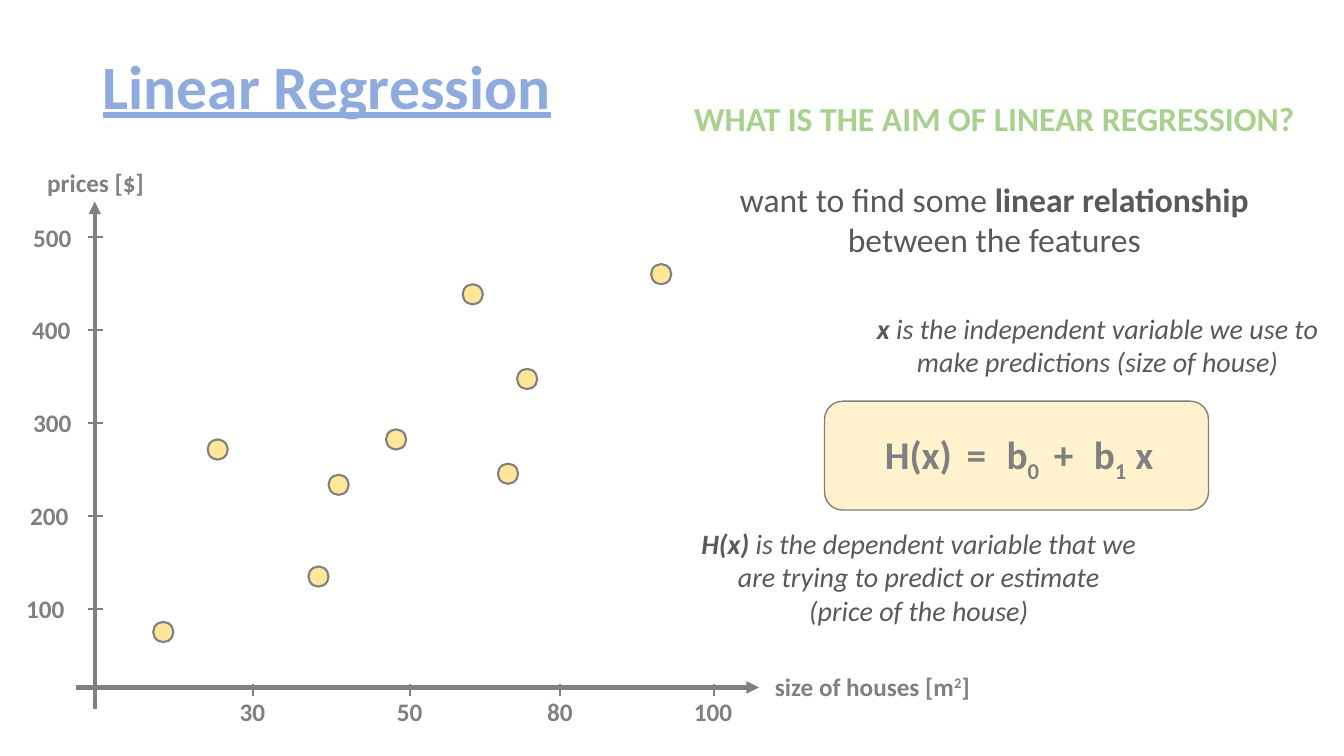
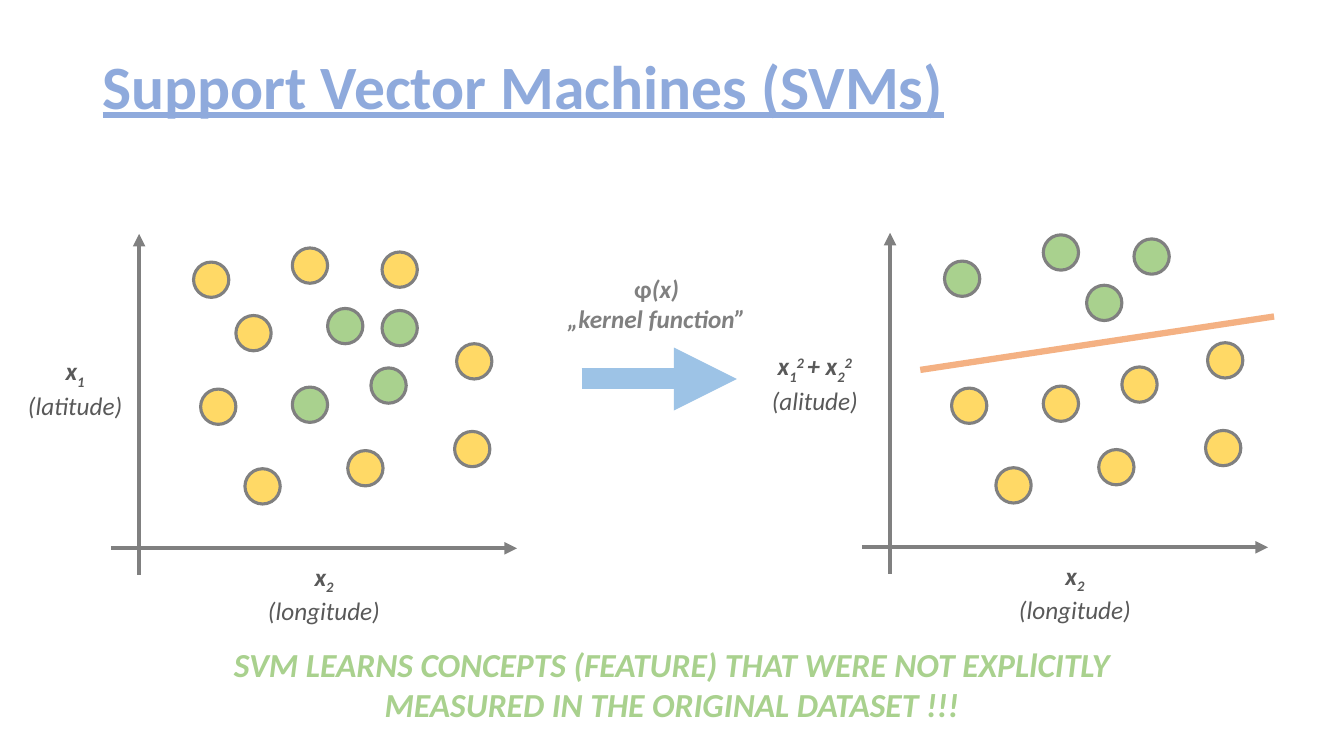
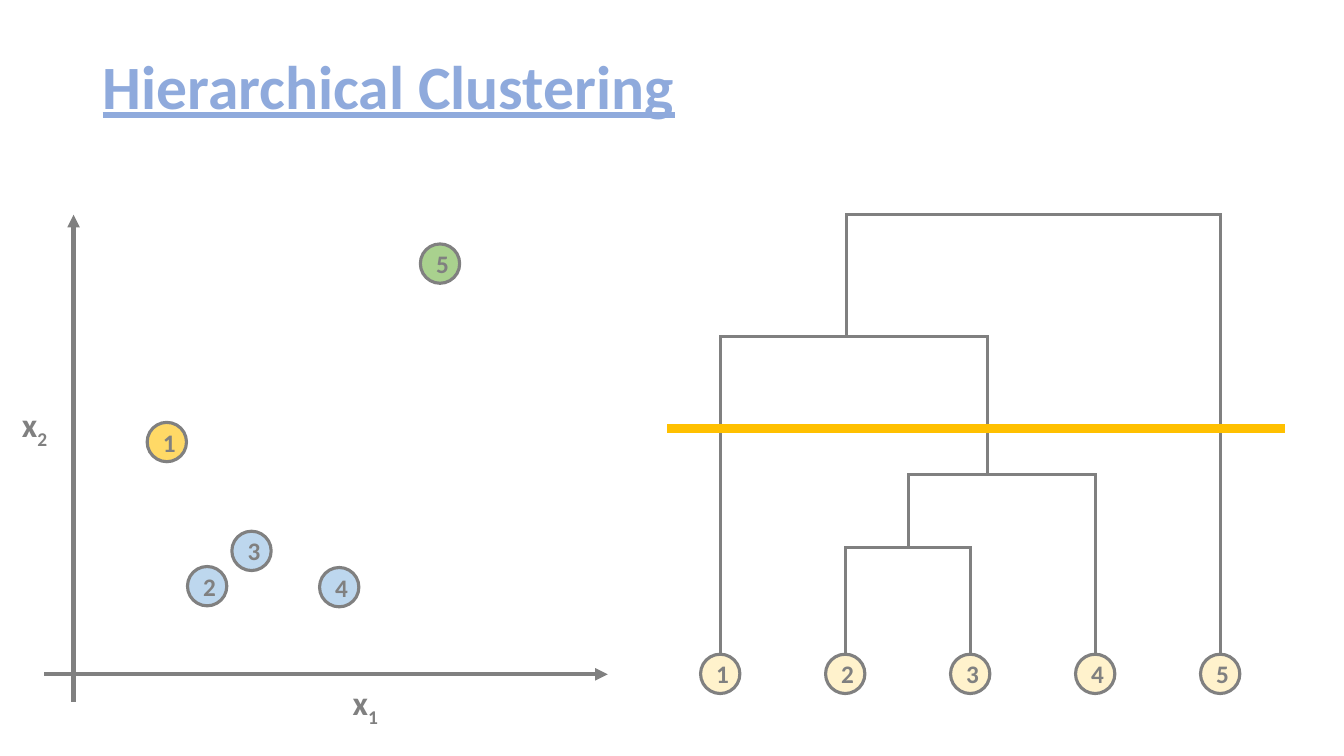
"""Three machine learning slides: regression, support vector machines, clustering."""
from lxml.etree import SubElement
from pptx import Presentation
from pptx.dml.color import RGBColor
from pptx.enum.shapes import MSO_CONNECTOR, MSO_SHAPE
from pptx.enum.text import MSO_ANCHOR, MSO_AUTO_SIZE, PP_ALIGN
from pptx.oxml.ns import qn
from pptx.util import Inches, Pt

CELL = Inches(0.1)
ROWS = 75
COLS = ROWS * 16 / 9

GRAY = RGBColor(0x80, 0x80, 0x80)
INK = RGBColor(0x59, 0x59, 0x59)
TITLE_BLUE = RGBColor(0x8F, 0xAA, 0xDC)
ARROW_BLUE = RGBColor(0x9D, 0xC3, 0xE6)
PALE_BLUE = RGBColor(0xBD, 0xD7, 0xEE)
GREEN = RGBColor(0xA9, 0xD1, 0x8E)
YELLOW = RGBColor(0xFF, 0xD9, 0x66)
SOFT_YELLOW = RGBColor(0xFF, 0xE6, 0x99)
CREAM = RGBColor(0xFF, 0xF2, 0xCC)
ORANGE = RGBColor(0xF4, 0xB1, 0x83)
GOLD = RGBColor(0xFF, 0xC0, 0x00)

FONT = "Calibri"
TITLE_BOX = (9.2, 1.6, 115, 14.5)
BASELINES = {"-": "-25000", "+": "30000"}

HOUSES = [(20.6, 43.6), (38.3, 42.6), (15.2, 61.7), (30.6, 56.2), (32.6, 47.1),
          (49.4, 46), (45.9, 28.2), (51.3, 36.6), (64.6, 26.2)]
SIZE_TICKS = [("30", 25.1, 4.6), ("50", 40.7, 4.6), ("80", 55.6, 4.6), ("100", 70.8, 5.9)]
PRICE_LABELS = [("100", 1.6), ("200", 2), ("300", 2.3), ("400", 2.2), ("500", 2.3)]
PRICE_BASE, PRICE_STEP = 60.4, 9.22

REGRESSION_NOTES = [
    ([[("size of houses [m", "b"), ("2", "b+"), ("]", "b")]], (75.9, 66.1, 22, 4), {}),
    (["prices [$]"], (3.7, 16.1, 11.7, 4), {}),
    ([[("WHAT IS THE AIM OF LINEAR REGRESSION?", "b", GREEN)],
      [("want to find some ", ""), ("linear relationship", "b")],
      [("between the features", "")]],
     (67.6, 9.2, 62.1, 17.1), dict(size=24, color=INK, align=PP_ALIGN.CENTER, gaps={1: 29.3})),
    ([[("H(x)", "b"), (" = ", "bw"), ("b", "b"), ("0", "b-"), (" + ", "bw"),
       ("b", "b"), ("1", "b-"), (" x", "b")]], (86.8, 42.2, 30.3, 5.7), dict(size=28)),
    ([[("H(x) ", "bi"), ("is the dependent variable that we", "i")],
      "are trying to predict or estimate", "(price of the house)"],
     (68.5, 51.7, 45.3, 11.1), dict(size=20, color=INK, style="i", align=PP_ALIGN.CENTER)),
    ([[("x", "bi"), (" is the independent variable we use to", "i")],
      "make predictions (size of house)"],
     (85.8, 30.4, 46.2, 7.7), dict(size=20, color=INK, style="i", align=PP_ALIGN.CENTER)),
]

SHARED_OUTER = [(24.3, 46.5), (19.9, 38.6), (34.5, 44.7), (45.3, 34.1), (45.1, 42.8)]
INNER_PAIR = [(29, 38.4), (36.8, 36.5)]
LONGITUDE = [[("x", "bi"), ("2", "bi-")], "(longitude)"]
PANELS = [
    dict(shift=(0, 0),
         yellow=[(23.4, 31.3), (29, 24.6), (37.9, 25), (19.2, 26)],
         green=INNER_PAIR + [(32.5, 30.6), (37.9, 30.8)],
         upright=[[("x", "bi"), ("1", "bi-")], "(latitude)"],
         upright_box=(1.7, 34.8, 11.5, 7.1)),
    dict(shift=(74.5, -0.1),
         yellow=INNER_PAIR,
         green=[(33.3, 28.4), (29, 23.4), (38, 23.8), (19.2, 26)],
         upright=[[("x", "bi"), ("1", "bi-"), ("2 ", "bi+"), ("+ x", "bi"),
                   ("2", "bi-"), ("2", "bi+")], "(alitude)"],
         upright_box=(75.5, 34.3, 10.7, 7.1)),
]
KERNEL = [[("φ", "b"), ("(x)", "bi")], "„kernel function”"]
LESSON = ["SVM LEARNS CONCEPTS (FEATURE) THAT WERE NOT EXPLlCITLY",
          "MEASURED IN THE ORIGINAL DATASET !!!"]

SAMPLES = [("2", 18.6, 56.2, PALE_BLUE), ("3", 23, 52.7, PALE_BLUE), ("1", 14.6, 41.9, YELLOW),
           ("4", 31.7, 56.3, PALE_BLUE), ("5", 41.7, 24.2, GREEN)]
AXIS_NAMES = [("2", (1.2, 39.6, 4.7, 5)), ("1", (34, 67.2, 4.7, 5))]
LEAF_LEFT, LEAF_STEP, LEAF_TOP, NODE = 69.5, 12.4, 64.9, 3.9
MERGES = [("2", "3", 54.3, 90.1), ("2+3", "4", 47.1, 98),
          ("1", "2+3+4", 33.4, 84), ("1+2+3+4", "5", 21.3, None)]


def cells(*values):
    return [round(value * CELL) for value in values]


def write(frame, lines, size=18, color=GRAY, style="b", align=None, gaps=None, leading=None):
    for index, line in enumerate(lines):
        paragraph = frame.paragraphs[0] if index == 0 else frame.add_paragraph()
        if align is not None:
            paragraph.alignment = align
        if leading:
            paragraph.line_spacing = leading
        if gaps and index in gaps:
            paragraph.space_before = Pt(gaps[index])
        for words, marks, *tint in [(line, style)] if isinstance(line, str) else line:
            run = paragraph.add_run()
            run.text = words
            font = run.font
            font.name, font.size = FONT, Pt(size)
            font.bold, font.italic, font.underline = "b" in marks, "i" in marks, "u" in marks
            font.color.rgb = tint[0] if tint else color
            properties = run._r.get_or_add_rPr()
            for mark in set(marks) & set(BASELINES):
                properties.set("baseline", BASELINES[mark])
            if "w" in marks:
                properties.set("spc", "420")


def put_text(slide, lines, box, anchor=MSO_ANCHOR.TOP, wrap=False, **style):
    frame = slide.shapes.add_textbox(*cells(*box)).text_frame
    frame.word_wrap = wrap
    frame.auto_size = MSO_AUTO_SIZE.NONE if wrap else MSO_AUTO_SIZE.SHAPE_TO_FIT_TEXT
    frame.vertical_anchor = anchor
    write(frame, lines, **style)


def put_shape(slide, preset, box, fill, width, label=None):
    shape = slide.shapes.add_shape(preset, *cells(*box))
    shape.shadow.inherit = False
    shape.fill.solid()
    shape.fill.fore_color.rgb = fill
    shape.line.color.rgb = GRAY
    shape.line.width = Pt(width)
    if label:
        write(shape.text_frame, [label], align=PP_ALIGN.CENTER)
    return shape


def put_dot(slide, left, top, size, fill, width=2.25, label=None):
    return put_shape(slide, MSO_SHAPE.OVAL, (left, top, size, size), fill, width, label)


def put_line(slide, start, end, width, color=GRAY, arrow=False, cap="flat"):
    line = slide.shapes.add_connector(MSO_CONNECTOR.STRAIGHT, *cells(*start, *end))
    line.line.color.rgb = color
    line.line.width = Pt(width)
    stroke = line.line._get_or_add_ln()
    stroke.set("cap", cap)
    if arrow:
        SubElement(stroke, qn("a:tailEnd"), type="triangle")
    SubElement(line._element.spPr, qn("a:effectLst"))
    return line


def put_axes(slide, x, y, left, right, top, bottom):
    put_line(slide, (x, bottom), (x, top), 3, arrow=True)
    put_line(slide, (left, y), (right, y), 3, arrow=True)


def new_slide(deck, title):
    slide = deck.slides.add_slide(deck.slide_layouts[6])
    put_text(slide, [title], TITLE_BOX, anchor=MSO_ANCHOR.MIDDLE, wrap=True,
             size=44, color=TITLE_BLUE, style="bu", leading=0.9)
    return slide


def build_regression(deck):
    slide = new_slide(deck, "Linear Regression")
    put_shape(slide, MSO_SHAPE.ROUNDED_RECTANGLE, (81.8, 39.8, 38.1, 10.8), CREAM, 1)
    put_axes(slide, 9.4, 68.2, 7.5, 75.3, 20, 70.3)
    for left, top in HOUSES:
        put_dot(slide, left, top, 2, SOFT_YELLOW, 1.5)
    for label, x, width in SIZE_TICKS:
        put_line(slide, (x, 67.9), (x, 69), 1.5)
        put_text(slide, [label], (x - width / 2, 68.6, width, 4))
    for index, (label, left) in enumerate(PRICE_LABELS):
        y = PRICE_BASE - index * PRICE_STEP
        put_line(slide, (8.7, y), (10.2, y), 1.5)
        put_text(slide, [label], (left, y - 2, 5.9, 4))
    for lines, box, style in REGRESSION_NOTES:
        put_text(slide, lines, box, **style)


def build_svm(deck):
    slide = new_slide(deck, "Support Vector Machines (SVMs)")
    axis_style = dict(color=INK, style="i", align=PP_ALIGN.CENTER)
    for panel in PANELS:
        dx, dy = panel["shift"]
        put_axes(slide, 13.8 + dx, 54.4 + dy, 11 + dx, 51.3 + dx, 23.2 + dy, 57 + dy)
        put_text(slide, panel["upright"], panel["upright_box"], **axis_style)
        put_text(slide, LONGITUDE, (25.5 + dx, 55.2 + dy, 13.3, 7.1), **axis_style)
        for fill, spots in [(YELLOW, SHARED_OUTER + panel["yellow"]), (GREEN, panel["green"])]:
            for left, top in spots:
                put_dot(slide, left + dx, top + dy, 3.5, fill)
    put_line(slide, (91.3, 36.7), (126.4, 31.4), 4.5, ORANGE)
    put_line(slide, (57.7, 37.6), (73.1, 37.6), 15, ARROW_BLUE, arrow=True)
    put_text(slide, KERNEL, (55.1, 26.6, 20.1, 7.1), style="bi", align=PP_ALIGN.CENTER)
    put_text(slide, LESSON, (20.9, 63.4, 91.5, 9.1), size=24, color=GREEN, style="bi",
             align=PP_ALIGN.CENTER)


def build_clustering(deck):
    slide = new_slide(deck, "Hierarchical Clustering")
    put_axes(slide, 7.3, 66.9, 4.4, 60.3, 21.3, 69.6)
    for index, box in AXIS_NAMES:
        put_text(slide, [[("x", "b"), (index, "b-")]], box, size=24)
    for label, left, top, fill in SAMPLES:
        put_dot(slide, left, top, NODE, fill, label=label)
    leaves, tops = {}, {}
    for index, label in enumerate("12345"):
        left = LEAF_LEFT + index * LEAF_STEP
        leaves[label] = put_dot(slide, left, LEAF_TOP, NODE, CREAM, label=label)
        tops[label] = (left + NODE / 2, LEAF_TOP)
    for first, second, height, stem in MERGES:
        for branch in (first, second):
            x, base = tops[branch]
            drop = put_line(slide, (x, height), (x, base), 2.25)
            if branch in leaves:
                drop.end_connect(leaves[branch], 0)
        put_line(slide, (tops[first][0], height), (tops[second][0], height), 2.25, cap="sq")
        tops[f"{first}+{second}"] = (stem, height)
    put_line(slide, (66.2, 42.5), (127.5, 42.5), 6, GOLD)


def main():
    deck = Presentation()
    deck.slide_width, deck.slide_height = cells(COLS, ROWS)
    for build in (build_regression, build_svm, build_clustering):
        build(deck)
    deck.save("out.pptx")


if __name__ == "__main__":
    main()
